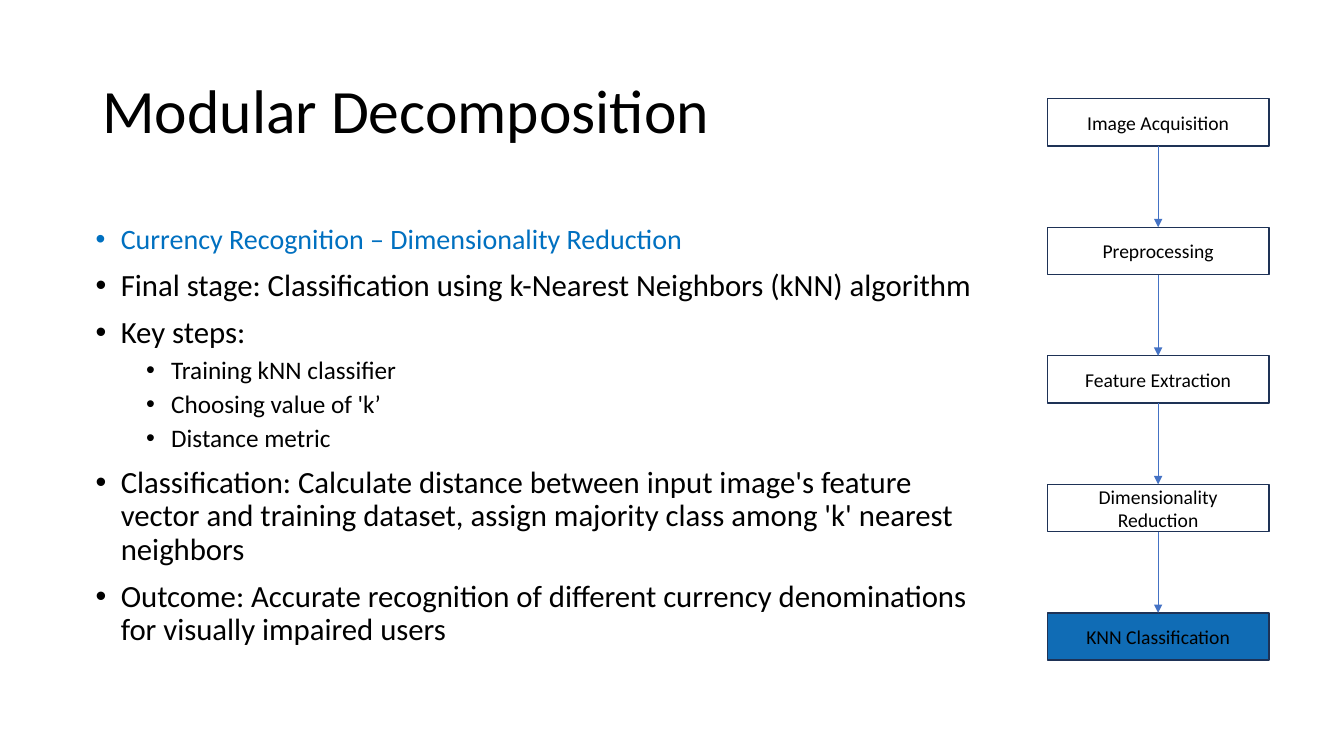
from dataclasses import dataclass

from lxml import etree
from pptx import Presentation
from pptx import util as u
from pptx.dml.color import RGBColor
from pptx.enum import shapes, text
from pptx.oxml import ns

BLACK = RGBColor(0x00, 0x00, 0x00)
WHITE = RGBColor(0xFF, 0xFF, 0xFF)
TOPIC_BLUE = RGBColor(0x00, 0x70, 0xC0)
ACTIVE_BLUE = RGBColor(0x10, 0x6C, 0xB5)
BORDER_NAVY = RGBColor(0x1E, 0x32, 0x56)
ARROW_BLUE = RGBColor(0x44, 0x72, 0xC4)

FONT = "Calibri"
SLIDE_WIDTH, SLIDE_HEIGHT = u.Inches(13.333), u.Inches(7.5)
COLUMNS, ROWS = 80, 45
STAGE_PITCH = 7.65


@dataclass(frozen=True)
class Area:
    """A rectangle in grid columns and rows."""
    column: float
    row: float
    columns: float
    rows: float

    def box(self) -> tuple[int, int, int, int]:
        cell_width, cell_height = SLIDE_WIDTH / COLUMNS, SLIDE_HEIGHT / ROWS
        return (round(self.column * cell_width), round(self.row * cell_height),
                round(self.columns * cell_width), round(self.rows * cell_height))


@dataclass(frozen=True)
class Point:
    words: str
    size: int = 22
    level: int = 0
    color: RGBColor = BLACK


@dataclass(frozen=True)
class Stage:
    words: str
    fill: RGBColor = WHITE


TITLE_AREA = Area(5.5, 2.4, 69, 8.7)
POINTS_AREA = Area(5.1, 13.14, 54.66, 28.92)

POINTS = [
    Point("Currency Recognition – Dimensionality Reduction", size=20, color=TOPIC_BLUE),
    Point("Final stage: Classification using k-Nearest Neighbors (kNN) algorithm"),
    Point("Key steps:"),
    Point("Training kNN classifier", size=18, level=1),
    Point("Choosing value of 'k’", size=18, level=1),
    Point("Distance metric", size=18, level=1),
    Point("Classification: Calculate distance between input image's feature vector "
          "and training dataset, assign majority class among 'k' nearest neighbors"),
    Point("Outcome: Accurate recognition of different currency denominations "
          "for visually impaired users"),
]

STAGES = [
    Stage("Image Acquisition"),
    Stage("Preprocessing"),
    Stage("Feature Extraction"),
    Stage("Dimensionality Reduction"),
    Stage("KNN Classification", fill=ACTIVE_BLUE),
]


def write(paragraph, words: str, size: int, color: RGBColor = BLACK, **formats) -> None:
    """Fill a paragraph with one run and apply paragraph formats."""
    run = paragraph.add_run()
    run.text = words
    for name, value in {"name": FONT, "size": u.Pt(size)}.items():
        setattr(run.font, name, value)
    run.font.color.rgb = color
    for name, value in formats.items():
        setattr(paragraph, name, value)


def add_bullet(paragraph, level: int) -> None:
    properties = paragraph._p.get_or_add_pPr()
    properties.set("marL", str(u.Inches(0.25 + 0.5 * level)))
    properties.set("indent", str(u.Inches(-0.25)))
    etree.SubElement(properties, ns.qn("a:buFont"), typeface="Arial")
    etree.SubElement(properties, ns.qn("a:buChar"), char="•")


def add_title(slide, words: str) -> None:
    frame = slide.shapes.add_textbox(*TITLE_AREA.box()).text_frame
    frame.word_wrap = True
    frame.vertical_anchor = text.MSO_ANCHOR.MIDDLE
    write(frame.paragraphs[0], words, 44, line_spacing=0.9)


def add_points(slide, points: list[Point]) -> None:
    frame = slide.shapes.add_textbox(*POINTS_AREA.box()).text_frame
    frame.word_wrap = True
    for index, point in enumerate(points):
        paragraph = frame.add_paragraph() if index else frame.paragraphs[0]
        write(paragraph, point.words, point.size, point.color, level=point.level,
              line_spacing=0.9, space_before=u.Pt(5 if point.level else 10))
        add_bullet(paragraph, point.level)


def add_stage(slide, stage: Stage, index: int):
    area = Area(62.34, 5.88 + index * STAGE_PITCH, 13.2, 2.82)
    box = slide.shapes.add_shape(shapes.MSO_SHAPE.RECTANGLE, *area.box())
    box.shadow.inherit = False
    box.fill.solid()
    box.fill.fore_color.rgb = stage.fill
    box.line.color.rgb = BORDER_NAVY
    box.line.width = u.Pt(1)
    frame_formats = {
        "word_wrap": True,
        "vertical_anchor": text.MSO_ANCHOR.MIDDLE,
        "margin_left": u.Inches(0.15),
        "margin_right": u.Inches(0.15),
        "margin_top": 0,
        "margin_bottom": 0,
    }
    for name, value in frame_formats.items():
        setattr(box.text_frame, name, value)
    write(box.text_frame.paragraphs[0], stage.words, 14, alignment=text.PP_ALIGN.CENTER)
    return box


def add_arrow(slide, upper, lower) -> None:
    arrow = slide.shapes.add_connector(shapes.MSO_CONNECTOR.STRAIGHT, 0, 0, 0, 0)
    arrow.begin_connect(upper, 2)
    arrow.end_connect(lower, 0)
    arrow.line.color.rgb = ARROW_BLUE
    arrow.line.width = u.Pt(0.5)
    etree.SubElement(arrow.line._get_or_add_ln(), ns.qn("a:tailEnd"), type="triangle")
    etree.SubElement(arrow._element.spPr, ns.qn("a:effectLst"))


def main() -> None:
    deck = Presentation()
    deck.slide_width, deck.slide_height = SLIDE_WIDTH, SLIDE_HEIGHT
    slide = deck.slides.add_slide(deck.slide_layouts[6])
    add_title(slide, "Modular Decomposition")
    add_points(slide, POINTS)
    boxes = [add_stage(slide, stage, index) for index, stage in enumerate(STAGES)]
    for upper, lower in zip(boxes, boxes[1:]):
        add_arrow(slide, upper, lower)
    deck.save("out.pptx")


if __name__ == "__main__":
    main()
